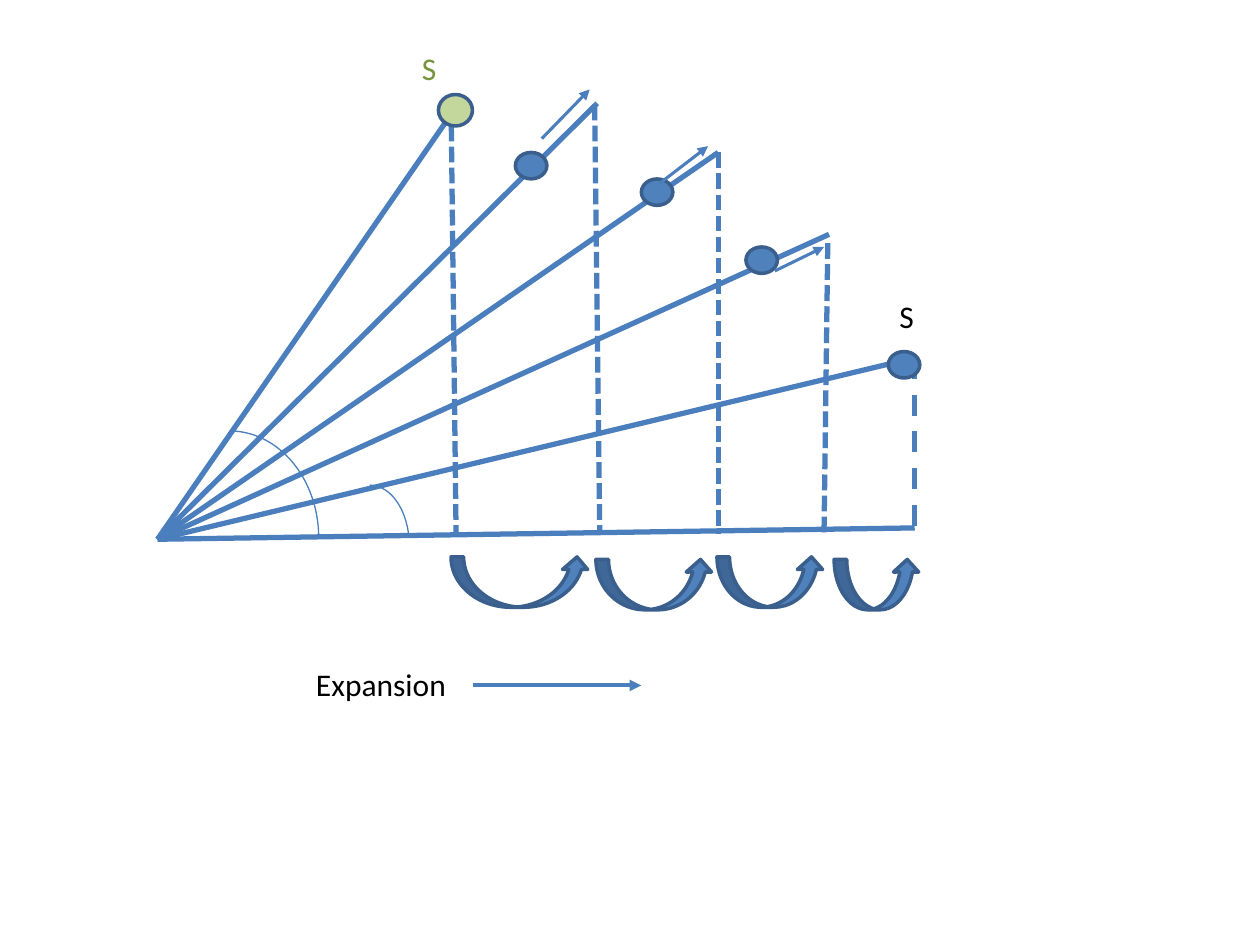
"""Build a slide of rays fanning out from one point as the base expands."""
from dataclasses import dataclass

from lxml import etree
from pptx import Presentation
from pptx.dml.color import RGBColor
from pptx.enum.dml import MSO_LINE
from pptx.enum.shapes import MSO_CONNECTOR, MSO_SHAPE
from pptx.enum.text import MSO_AUTO_SIZE
from pptx.oxml.ns import qn
from pptx.util import Inches, Pt

STRAIGHT = MSO_CONNECTOR.STRAIGHT
OVAL, ARC, CURVED_UP = MSO_SHAPE.OVAL, MSO_SHAPE.ARC, MSO_SHAPE.CURVED_UP_ARROW
SHORT_DASH, DASH = MSO_LINE.SQUARE_DOT, MSO_LINE.DASH
FIT_TEXT = MSO_AUTO_SIZE.SHAPE_TO_FIT_TEXT


@dataclass(frozen=True)
class Theme:
    font: str = "Calibri"
    size: int = 18
    line: str = "4B7EBC"
    outline: str = "3A5F8C"
    blue: str = "4F81BD"
    green: str = "C3D69B"
    green_text: str = "77933C"
    text: str = "000000"


THEME = Theme()


def add_line(shapes, start, end, width, dash=None, arrow=False):
    """Draw a straight line, optionally dashed or with an arrowhead."""
    c = shapes.add_connector(STRAIGHT, *map(Inches, start + end))
    c.line.color.rgb = RGBColor.from_string(THEME.line)
    c.line.width = Pt(width)
    if dash:
        c.line.dash_style = dash
    if arrow:
        etree.SubElement(c.line._get_or_add_ln(), qn("a:tailEnd"), type="triangle")
    etree.SubElement(c._element.spPr, qn("a:effectLst"))


def add_figure(shapes, kind, box, fill, line, width):
    """Draw a preset shape; a fill of None leaves it open."""
    sp = shapes.add_shape(kind, *map(Inches, box))
    sp.shadow.inherit = False
    if fill:
        sp.fill.solid()
        sp.fill.fore_color.rgb = RGBColor.from_string(fill)
    else:
        sp.fill.background()
    sp.line.color.rgb = RGBColor.from_string(line)
    sp.line.width = Pt(width)
    return sp


prs = Presentation()
prs.slide_width, prs.slide_height = Inches(10), Inches(7.5)
s = prs.slides.add_slide(prs.slide_layouts[6])

fan = s.shapes.add_group_shape().shapes
origin = (1.25, 4.28)
ray_ends = [(7.26, 4.19), (3.62, 0.85), (4.74, 0.82), (5.7, 1.21), (6.58, 1.86), (7.26, 2.84)]
for end in ray_ends:
    add_line(fan, origin, end, 3)

drops = [
    ((3.58, 0.83), (3.62, 4.24), SHORT_DASH),
    ((4.72, 0.83), (4.76, 4.24), SHORT_DASH),
    ((5.7, 1.21), (5.7, 4.24), SHORT_DASH),
    ((6.57, 1.93), (6.54, 4.24), SHORT_DASH),
    ((7.26, 2.84), (7.26, 4.19), DASH),
]
for top, foot, dash in drops:
    add_line(fan, top, foot, 3, dash=dash)

add_figure(s.shapes, OVAL, (3.48, 0.75, 0.27, 0.25), THEME.green, THEME.outline, 2)

add_figure(s.shapes, ARC, (1.11, 3.42, 1.42, 1.7), None, THEME.line, 0.75)
small_arc = add_figure(s.shapes, ARC, (2.62, 3.85, 0.63, 0.97), None, THEME.line, 0.75)
small_arc.adjustments[1] = 208.778

for x, y in [(4.09, 1.21), (5.09, 1.42), (5.92, 1.96), (7.05, 2.79)]:
    add_figure(s.shapes, OVAL, (x, y, 0.25, 0.21), THEME.blue, THEME.outline, 2)

arrows = [
    ((4.3, 1.1), (4.68, 0.71), 1.75),
    ((5.23, 1.46), (5.62, 1.16), 1.75),
    ((6.15, 2.15), (6.54, 1.96), 1.75),
    ((3.75, 5.44), (5.09, 5.44), 2.25),
]
for start, end, width in arrows:
    add_line(s.shapes, start, end, width, arrow=True)

for x, y, w in [(3.58, 4.42, 1.1), (4.73, 4.44, 0.93), (5.69, 4.42, 0.85), (6.62, 4.44, 0.68)]:
    add_figure(s.shapes, CURVED_UP, (x, y, w, 0.4), THEME.blue, THEME.outline, 2)

labels = [
    ("S", 3.25, 0.34, 0.37, THEME.green_text),
    ("Expansion", 2.41, 5.23, 2, THEME.text),
    ("S", 7.04, 2.31, 0.37, THEME.text),
]
font_format = {"name": THEME.font, "size": Pt(THEME.size)}
for text, x, y, w, color in labels:
    tf = s.shapes.add_textbox(*map(Inches, (x, y, w, 0.4))).text_frame
    tf.word_wrap = True
    tf.auto_size = FIT_TEXT
    r = tf.paragraphs[0].add_run()
    r.text = text
    for name, value in font_format.items():
        setattr(r.font, name, value)
    r.font.color.rgb = RGBColor.from_string(color)

prs.save("out.pptx")
